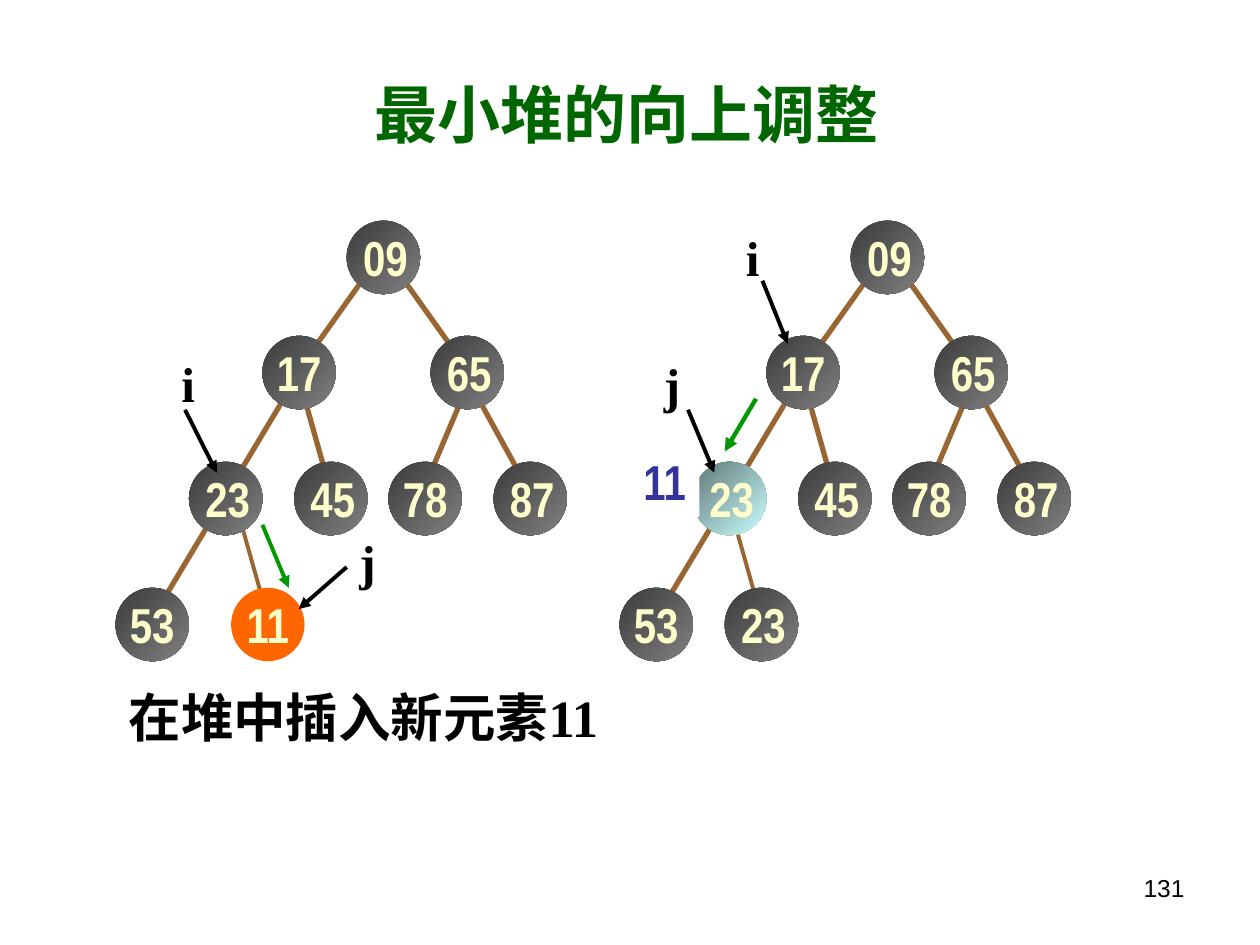
from dataclasses import dataclass, field

from lxml.etree import SubElement
from pptx import Presentation
from pptx.dml.color import RGBColor
from pptx.enum.shapes import MSO_CONNECTOR, MSO_SHAPE
from pptx.enum.text import MSO_ANCHOR, MSO_AUTO_SIZE, PP_ALIGN
from pptx.oxml.ns import qn
from pptx.util import Cm, Pt


@dataclass(frozen=True)
class Theme:
    serif: str = "Times New Roman"
    narrow: str = "Arial Narrow"
    sans: str = "Arial"
    title: str = "006600"
    ink: str = "000000"
    paper: str = "FFFFFF"
    node: tuple[str, ...] = ("3B3B3B", "808080")
    moving: tuple[str, ...] = ("5E7676", "CCFFFF")
    inserted: tuple[str, ...] = ("FF6600",)
    key: str = "FFFFCC"
    pending: str = "333399"
    edge: str = "996633"
    step: str = "009900"
    title_pt: float = 36
    caption_pt: float = 30
    label_pt: float = 28
    page_pt: float = 14


@dataclass(frozen=True)
class Node:
    key: str
    x: float
    y: float
    fill: tuple[str, ...] = Theme.node
    label_dx: float = 0.08


@dataclass(frozen=True)
class Line:
    x1: float
    y1: float
    x2: float
    y2: float
    color: str = Theme.edge
    width: float = 3
    arrow: bool = False


@dataclass(frozen=True)
class Label:
    text: str
    x: float
    y: float
    w: float = 1.4
    h: float = 1.45
    font: str = Theme.serif
    size: float = Theme.label_pt
    color: str = Theme.ink
    bold: bool = True
    align: PP_ALIGN = PP_ALIGN.CENTER
    fill: str | None = None


@dataclass(frozen=True)
class Heap:
    """One stage of the heap; every x is measured from left."""
    left: float
    nodes: list[Node]
    last_edge: Line
    arrows: list[Line]
    labels: list[Label] = field(default_factory=list)


NODE_SIZE = 1.48
ROWS = (4.45, 6.77, 9.31, 11.85)
SHARED_EDGES = [
    Line(7.41, 5.5, 6.35, 6.99), Line(8.04, 5.5, 9.1, 6.99),
    Line(5.72, 8.04, 3.18, 12.28), Line(6.14, 8.04, 6.56, 9.53),
    Line(9.31, 8.04, 8.68, 9.53), Line(9.53, 7.83, 10.58, 9.74),
]
SHARED_NODES = [
    Node("09", 6.99, ROWS[0]), Node("17", 5.29, ROWS[1], label_dx=0.04),
    Node("65", 8.68, ROWS[1]), Node("45", 5.93, ROWS[2]),
    Node("78", 7.83, ROWS[2], label_dx=0.04), Node("87", 9.95, ROWS[2]),
    Node("53", 2.33, ROWS[3], label_dx=0.04),
]


def pointer(x1: float, y1: float, x2: float, y2: float,
            color: str = Theme.ink, width: float = 2.25) -> Line:
    return Line(x1, y1, x2, y2, color, width, True)


HEAPS = [
    Heap(0,
         SHARED_NODES + [Node("23", 3.81, ROWS[2]),
                         Node("11", 4.66, ROWS[3], Theme.inserted, 0.04)],
         Line(4.87, 10.58, 5.29, 12.07, width=2.25),
         [pointer(3.73, 8.26, 4.37, 9.53),
          pointer(6.99, 11.43, 6.02, 12.28),
          pointer(5.29, 10.58, 5.82, 11.85, Theme.step)],
         [Label("i", 3.4, 6.99, 0.79), Label("j", 6.99, 10.58, 0.84)]),
    Heap(10.16,
         SHARED_NODES + [Node("23", 3.81, ROWS[2], Theme.moving),
                         Node("23", 4.45, ROWS[3])],
         Line(4.66, 10.58, 5.08, 12.07, width=2.25),
         [pointer(5.21, 5.66, 5.72, 6.93),
          pointer(3.71, 8.26, 4.24, 9.53),
          pointer(5.08, 8.04, 4.45, 9.1, Theme.step, 2.5)],
         [Label("i", 4.62, 4.45, 0.79), Label("j", 2.97, 7.01, 0.84),
          Label("11", 2.54, 8.97, font=Theme.narrow, color=Theme.pending,
                fill=Theme.paper)]),
]


def rgb(color: str) -> RGBColor:
    return RGBColor.from_string(color)


def style(p, font: str, size: float, color: str, bold: bool, align: PP_ALIGN) -> None:
    p.alignment = align
    p.font.name, p.font.size, p.font.bold = font, Pt(size), bold
    p.font.color.rgb = rgb(color)


def add_line(slide, line: Line, left: float) -> None:
    cx = slide.shapes.add_connector(
        MSO_CONNECTOR.STRAIGHT, Cm(left + line.x1), Cm(line.y1),
        Cm(left + line.x2), Cm(line.y2))
    cx.line.color.rgb, cx.line.width = rgb(line.color), Pt(line.width)
    if line.arrow:
        SubElement(cx.line._get_or_add_ln(), qn("a:tailEnd"), type="triangle")
    SubElement(cx._element.spPr, qn("a:effectLst"))


def add_label(slide, label: Label, left: float = 0) -> None:
    sp = slide.shapes.add_textbox(Cm(left + label.x), Cm(label.y),
                                  Cm(label.w), Cm(label.h))
    if label.fill:
        sp.fill.solid()
        sp.fill.fore_color.rgb = rgb(label.fill)
    tf = sp.text_frame
    tf.word_wrap = False
    tf.vertical_anchor = MSO_ANCHOR.MIDDLE
    tf.text = label.text
    style(tf.paragraphs[0], label.font, label.size, label.color, label.bold, label.align)


def add_node(slide, node: Node, left: float) -> None:
    sp = slide.shapes.add_shape(MSO_SHAPE.OVAL, Cm(left + node.x), Cm(node.y),
                                Cm(NODE_SIZE), Cm(NODE_SIZE))
    sp.shadow.inherit = False
    sp.line.fill.background()
    if len(node.fill) == 1:
        sp.fill.solid()
        sp.fill.fore_color.rgb = rgb(node.fill[0])
    else:
        sp.fill.gradient()
        sp.fill.gradient_angle = 315
        for stop, color in zip(sp.fill.gradient_stops, node.fill):
            stop.color.rgb = rgb(color)
    add_label(slide, Label(node.key, node.x + node.label_dx, node.y,
                           font=Theme.narrow, color=Theme.key), left)


def add_heap(slide, heap: Heap) -> None:
    for edge in [*SHARED_EDGES, heap.last_edge]:
        add_line(slide, edge, heap.left)
    for node in heap.nodes:
        add_node(slide, node, heap.left)
    for label in heap.labels:
        add_label(slide, label, heap.left)
    for arrow in heap.arrows:
        add_line(slide, arrow, heap.left)


def set_title(slide, text: str) -> None:
    sp = slide.shapes.title
    sp.left, sp.top, sp.width, sp.height = Cm(7.29), Cm(1.7), Cm(11.86), Cm(1.47)
    tf = sp.text_frame
    tf.text = text
    tf.word_wrap = True
    tf.auto_size = MSO_AUTO_SIZE.NONE
    tf.vertical_anchor = MSO_ANCHOR.TOP
    p = tf.paragraphs[0]
    p.line_spacing = 0.8
    style(p, Theme.serif, Theme.title_pt, Theme.title, True, PP_ALIGN.LEFT)


def main() -> None:
    prs = Presentation()
    prs.slide_width, prs.slide_height = Cm(25.4), Cm(19.05)
    slide = prs.slides.add_slide(prs.slide_layouts[5])
    set_title(slide, "最小堆的向上调整")
    for heap in HEAPS:
        add_heap(slide, heap)
    add_label(slide, Label("在堆中插入新元素11", 2.18, 13.69, 10.29, 1.52,
                           size=Theme.caption_pt))
    add_label(slide, Label("131", 18.21, 17.3, 5.92, 1.2, Theme.sans, Theme.page_pt,
                           bold=False, align=PP_ALIGN.RIGHT))
    prs.save("out.pptx")


if __name__ == "__main__":
    main()
